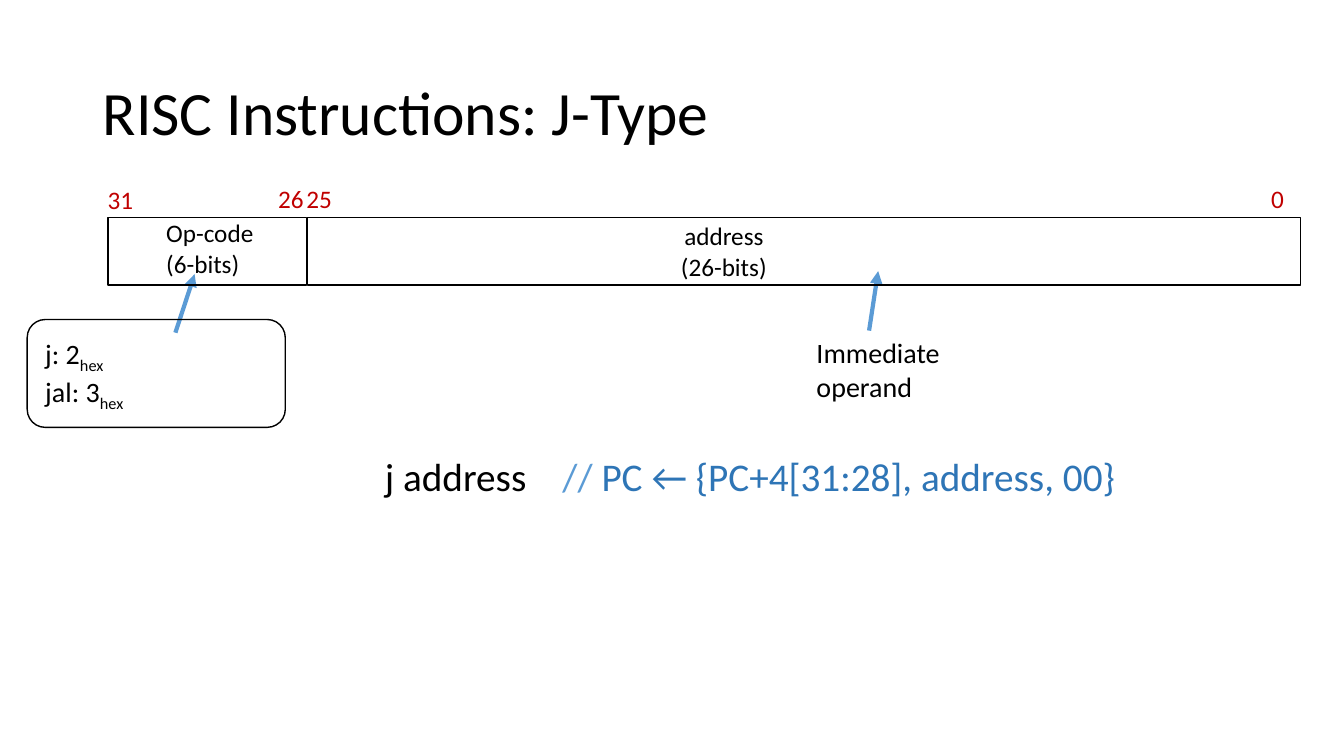
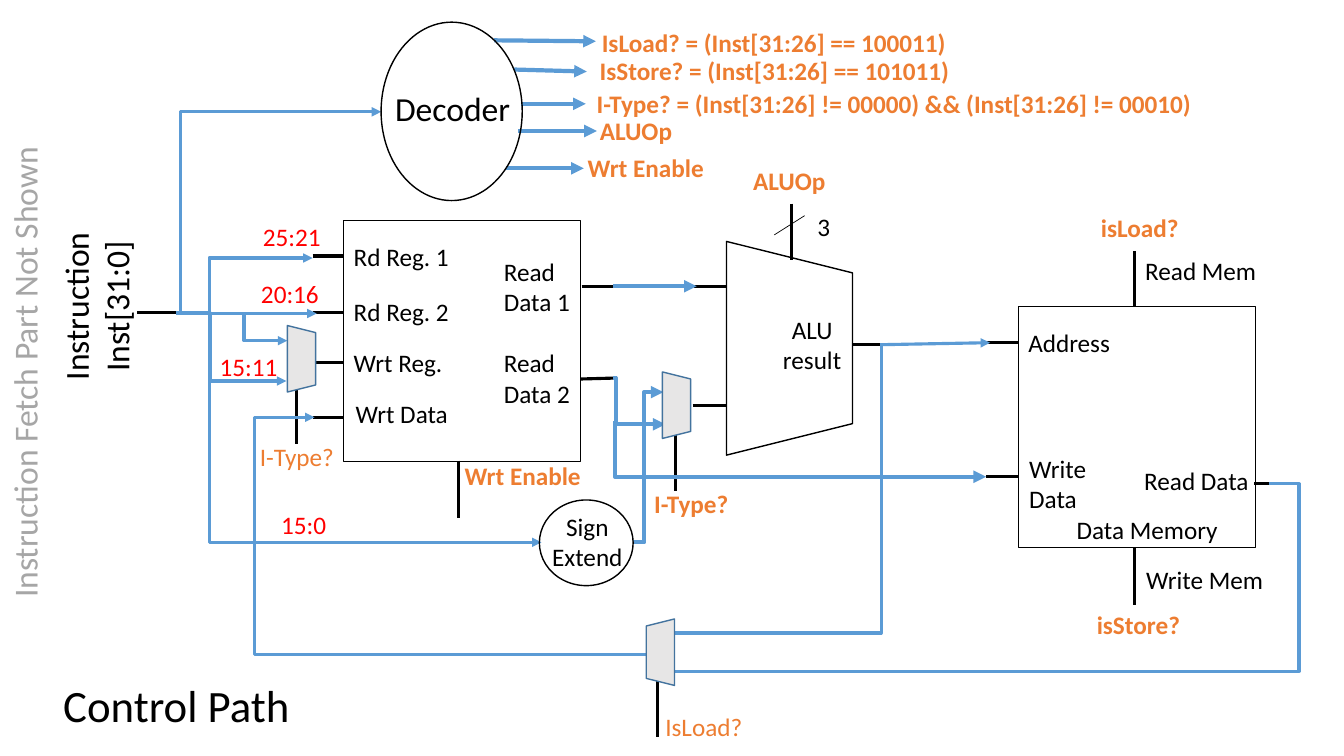
from lxml.etree import SubElement
from pptx import Presentation
from pptx.dml.color import RGBColor
from pptx.enum.shapes import MSO_CONNECTOR, MSO_SHAPE
from pptx.enum.text import MSO_AUTO_SIZE, PP_ALIGN
from pptx.oxml.ns import qn
from pptx.util import Cm, Pt

# Shared style
COLORS = {
    "black": "000000", "crimson": "C00000", "red": "FF0000", "blue": "5B9BD5",
    "deep blue": "2E75B6", "orange": "ED7D31", "gray": "A6A6A6",
    "mux fill": "E7E6E6", "mux line": "43739E",
}
GRID = 2.54  # centimetres per grid unit; all positions below are in grid units
LINE_HEIGHT = 1.2 / 72  # grid units per point of text size
BODY = {"name": "Calibri", "size": 18, "bold": False}


def add_text(slide, text, left, top, width, color="black", align=PP_ALIGN.LEFT,
             rotation=0, wrap=False, **changes):
    """Each line is a paragraph, "_" starts a subscript and "|" a color change."""
    style = {**BODY, **changes}
    lines = text.split("\n")
    height = len(lines) * style["size"] * LINE_HEIGHT + 0.1
    box = slide.shapes.add_textbox(*(Cm(GRID * v) for v in (left, top, width, height)))
    box.rotation = rotation
    frame = box.text_frame
    frame.word_wrap = wrap
    frame.auto_size = MSO_AUTO_SIZE.SHAPE_TO_FIT_TEXT
    colors = color.split("|")
    for number, line in enumerate(lines):
        paragraph = frame.paragraphs[0] if number == 0 else frame.add_paragraph()
        paragraph.alignment = align
        for part, run_color in zip(line.split("|"), colors):
            for level, words in enumerate(part.split("_")):
                run = paragraph.add_run()
                run.text = words
                for name, value in {**style, "size": Pt(style["size"])}.items():
                    setattr(run.font, name, value)
                run.font.color.rgb = RGBColor.from_string(COLORS[run_color])
                if level:
                    run.font._element.set("baseline", "-25000")


def add_line(slide, ends, color="black", width=2.25, arrow=False, bend=None):
    """A bend is the place of the vertical part, as a share of the width."""
    kind = MSO_CONNECTOR.STRAIGHT if bend is None else MSO_CONNECTOR.ELBOW
    connector = slide.shapes.add_connector(kind, *(Cm(GRID * v) for v in ends))
    connector.line.color.rgb = RGBColor.from_string(COLORS[color])
    connector.line.width = Pt(width)
    properties = connector.element.spPr
    if bend is not None:
        adjustments = properties.find(".//" + qn("a:avLst"))
        SubElement(adjustments, qn("a:gd"), name="adj1", fmla=f"val {round(bend * 100000)}")
    if arrow:
        SubElement(properties.find(qn("a:ln")), qn("a:tailEnd"), type="triangle")
    SubElement(properties, qn("a:effectLst"))


presentation = Presentation()
presentation.slide_width = Cm(GRID * 13.33)
presentation.slide_height = Cm(GRID * 7.5)
blank = presentation.slide_layouts[6]
jump_slide = presentation.slides.add_slide(blank)
control_slide = presentation.slides.add_slide(blank)

# Control path: black port stubs
for ends in [
    *[(3.1, y, 3.41, y) for y in (2.54, 3.1, 3.6, 4.14)],
    (5.77, 2.84, 6.08, 2.84), (5.76, 3.76, 6.12, 3.75),
    (6.88, 2.84, 7.21, 2.84), (6.87, 4.02, 7.2, 4.02), (8.45, 3.42, 8.78, 3.42),
    (1.36, 3.1, 1.79, 3.1), (7.85, 2.02, 7.85, 2.58), (4.55, 4.57, 4.55, 5.14),
    (2.94, 4.4, 2.94, 3.84), (6.7, 4.87, 6.7, 4.31), (6.52, 7.31, 6.52, 6.76),
    (9.78, 3.4, 10.1, 3.4), (9.78, 4.73, 10.1, 4.73), (12.44, 4.8, 12.75, 4.8),
    (11.25, 3.04, 11.25, 2.49), (11.25, 6, 11.25, 5.44),
]:
    add_line(control_slide, ends)
add_line(control_slide, (7.68, 2.33, 7.98, 2.14), width=0.5)

# Control path: blue wires as ends, width, arrow, bend
for ends, width, arrow, bend in [
    ((1.75, 3.11, 3.1, 2.56), 2.25, True, 0.24),
    ((2.03, 3.11, 3.14, 3.11), 2.25, True, None),
    ((1.75, 3.1, 2.84, 3.78), 2.25, True, 0.31),
    ((2.42, 3.12, 2.85, 3.38), 2.25, True, 0),
    ((2.08, 3.1, 5.37, 5.38), 2.25, True, 0),
    ((1.79, 3.11, 3.78, 1.11), 2.25, True, 0),
    ((6.08, 2.84, 6.91, 2.84), 3, True, None),
    ((6.28, 5.38, 6.58, 3.89), 3, True, 0.37),
    ((6.08, 3.75, 6.6, 4.21), 3, True, 0.05),
    ((6.1, 4.18, 9.78, 4.73), 3, True, 0),
    ((8.73, 3.42, 9.82, 3.4), 2.25, True, None),
    ((6.7, 6.28, 8.74, 3.42), 2.25, False, 1),
    ((12.59, 4.8, 6.7, 6.66), 2.25, False, -0.05),
    ((6.45, 6.49, 3.12, 4.14), 2.25, True, 1.18),
    # Decoder outputs
    ((4.9, 0.4, 5.91, 0.41), 3, True, None),
    ((5.1, 0.69, 5.82, 0.71), 3, True, None),
    ((5.17, 1.03, 5.81, 1.03), 3, True, None),
    ((5.14, 1.3, 5.92, 1.3), 3, True, None),
    ((5.02, 1.67, 5.79, 1.67), 3, True, None),
]:
    add_line(control_slide, ends, "blue", width, arrow, bend)

# J-type: pointers to the fields
for ends in [(1.74, 3.3, 1.93, 2.72), (8.62, 3.28, 8.71, 2.69)]:
    add_line(jump_slide, ends, "blue", 3, True)

# Outlines of both slides as slide, kind, box, rotation, fill
for slide, kind, box, rotation, fill in [
    (jump_slide, MSO_SHAPE.RECTANGLE, (1.07, 2.16, 1.97, 0.67), 0, None),
    (jump_slide, MSO_SHAPE.RECTANGLE, (3.05, 2.16, 9.85, 0.67), 0, None),
    (jump_slide, MSO_SHAPE.ROUNDED_RECTANGLE, (0.27, 3.17, 2.56, 1.07), 0, None),
    (control_slide, MSO_SHAPE.RECTANGLE, (3.41, 2.19, 2.35, 2.39), 0, None),
    (control_slide, MSO_SHAPE.RECTANGLE, (10.1, 3.04, 2.35, 2.39), 0, None),
    (control_slide, MSO_SHAPE.TRAPEZOID, (6.77, 2.83, 2.12, 1.25), 90, None),
    (control_slide, MSO_SHAPE.OVAL, (5.35, 4.96, 0.93, 0.85), 0, None),
    (control_slide, MSO_SHAPE.OVAL, (3.78, 0.22, 1.4, 1.77), 0, None),
    (control_slide, MSO_SHAPE.TRAPEZOID, (2.66, 3.42, 0.66, 0.28), 90, "mux fill"),
    (control_slide, MSO_SHAPE.TRAPEZOID, (6.38, 3.88, 0.66, 0.28), 90, "mux fill"),
    (control_slide, MSO_SHAPE.TRAPEZOID, (6.22, 6.33, 0.66, 0.28), 270, "mux fill"),
]:
    shape = slide.shapes.add_shape(kind, *(Cm(GRID * v) for v in box))
    shape.shadow.inherit = False
    shape.rotation = rotation
    shape.line.width = Pt(1)
    shape.line.color.rgb = RGBColor.from_string(COLORS["mux line" if fill else "black"])
    if fill:
        shape.fill.solid()
        shape.fill.fore_color.rgb = RGBColor.from_string(COLORS[fill])
    else:
        shape.fill.background()

# J-type: title, bit numbers, fields and notes
add_text(jump_slide, "RISC Instructions: J-Type", 0.92, 0.68, 11.5, size=44, wrap=True)
for text, left, top, width in [
    ("31", 0.97, 1.78, 0.46), ("26", 2.66, 1.77, 0.46),
    ("25", 2.94, 1.77, 0.46), ("0", 12.51, 1.77, 0.33),
]:
    add_text(jump_slide, text, left, top, width, "crimson")
add_text(jump_slide, "Op-code\n(6-bits)", 1.55, 2.11, 1.08)
add_text(jump_slide, "address\n(26-bits)", 6.65, 2.14, 1.06, align=PP_ALIGN.CENTER)
add_text(jump_slide, "Immediate operand", 8, 3.28, 1.66, size=20, wrap=True)
add_text(jump_slide, "j: 2_hex\njal: 3_hex", 0.35, 3.29, 1.08, size=20)
add_text(jump_slide, "j address", 3.72, 4.44, 1.7, size=28, wrap=True)
add_text(jump_slide, "// |PC ← {PC+4[31:28], address, 00}", 5.48, 4.44, 6.02,
         "blue|deep blue", size=28, wrap=True)

# Control path: port and block names
for text, left, top, width in [
    ("Rd Reg. 1", 3.41, 2.34, 1.16), ("Rd Reg. 2", 3.41, 2.89, 1.16),
    ("Wrt Reg.", 3.41, 3.4, 1.09), ("Wrt Data", 3.43, 3.9, 1.13),
    ("Read\nData 1", 4.9, 2.49, 0.86), ("Read\nData 2", 4.9, 3.4, 0.86),
    ("3", 8.01, 2.05, 0.33), ("Address", 10.1, 3.2, 1.02),
    ("Write\nData", 10.11, 4.45, 0.83), ("Read Data", 11.25, 4.57, 1.25),
    ("Data Memory", 10.58, 5.05, 1.62), ("Read Mem", 11.26, 2.48, 1.32),
    ("Write Mem", 11.27, 5.55, 1.37),
]:
    add_text(control_slide, text, left, top, width)
add_text(control_slide, "ALU\nresult", 7.66, 3.07, 0.79, align=PP_ALIGN.CENTER)
add_text(control_slide, "Sign\nExtend", 5.37, 5.02, 0.91, align=PP_ALIGN.CENTER)
add_text(control_slide, "Decoder", 3.82, 0.82, 1.36, size=24)

# Control path: instruction bit ranges
for text, left, top, width in [
    ("25:21", 2.51, 2.15, 0.78), ("20:16", 2.49, 2.71, 0.78),
    ("15:11", 2.08, 3.44, 0.78), ("15:0", 2.69, 5, 0.65),
]:
    add_text(control_slide, text, left, top, width, "red")

# Control path: control signals
for text, left, top, width, bold in [
    ("IsLoad? = (Inst[31:26] == 100011) ", 5.87, 0.22, 3.71, True),
    ("IsStore? = (Inst[31:26] == 101011) ", 5.85, 0.5, 3.76, True),
    ("I-Type? = (Inst[31:26] != 00000) && (Inst[31:26] != 00010) ", 5.82, 0.83, 6.24, True),
    ("ALUOp ", 5.85, 1.09, 0.98, True), ("Wrt Enable", 5.73, 1.46, 1.36, True),
    ("ALUOp ", 7.37, 1.59, 0.98, True), ("Wrt Enable", 4.51, 4.52, 1.36, True),
    ("I-Type?", 2.48, 4.33, 0.94, False), ("I-Type?", 6.39, 4.8, 0.96, True),
    ("isStore?", 10.78, 6, 1.03, True), ("isLoad?", 10.82, 2.06, 0.98, True),
    ("IsLoad?", 6.5, 7.01, 0.98, False),
]:
    add_text(control_slide, text, left, top, width, "orange", bold=bold)

# Control path: title and side captions
add_text(control_slide, "Control Path", -1.11, 6.67, 5.72, size=32,
         align=PP_ALIGN.CENTER, wrap=True)
add_text(control_slide, "Instruction\nInst[31:0]", 0.07, 2.59, 1.76, size=24,
         align=PP_ALIGN.CENTER, rotation=270)
add_text(control_slide, "Instruction Fetch Part Not Shown", -2.12, 3.42, 4.72, "gray",
         size=24, rotation=270)

presentation.save("out.pptx")
